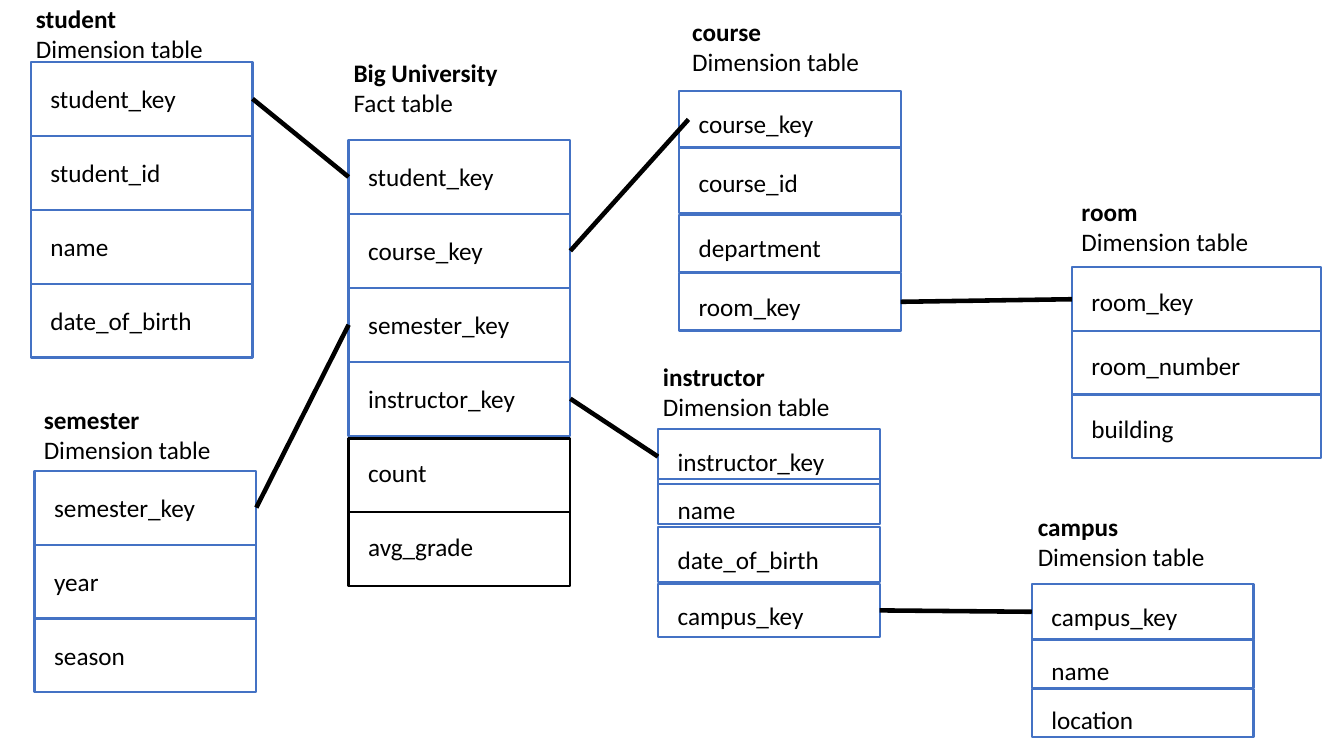
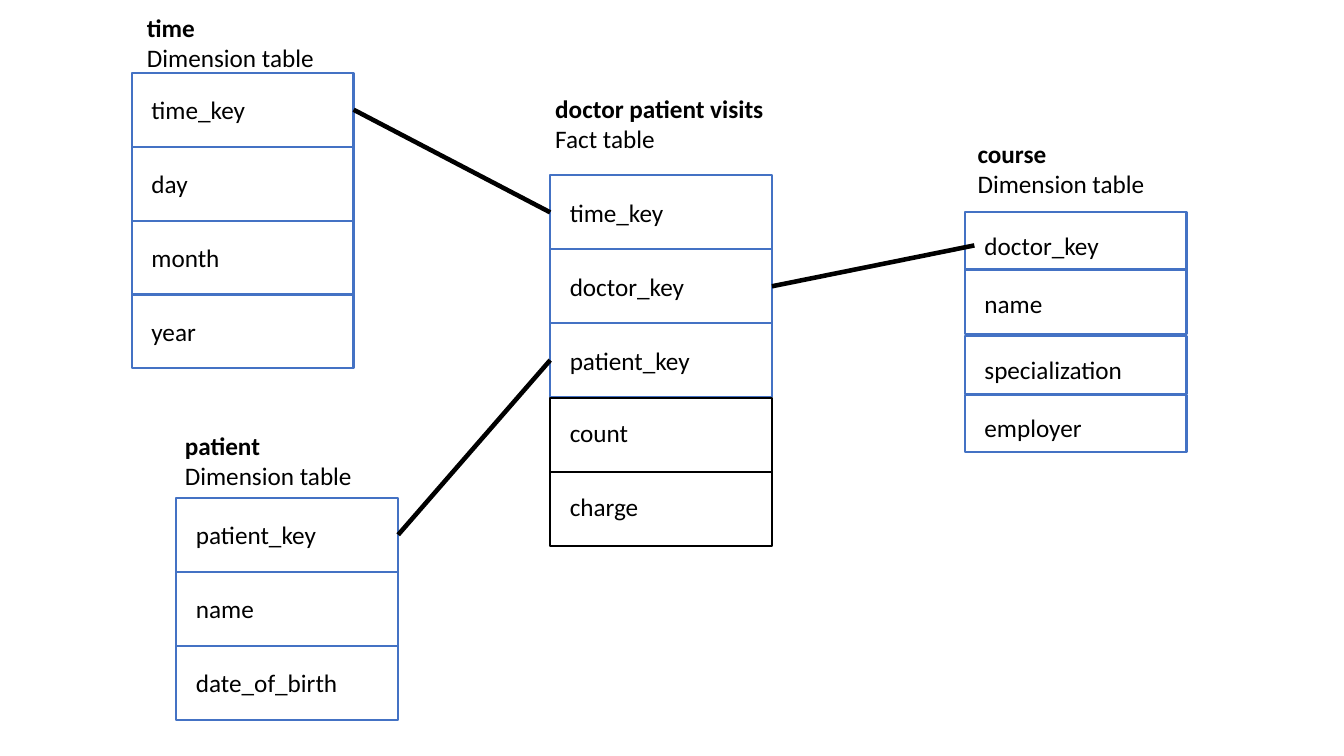
"""Build two star-schema diagrams: a university and a doctor's practice."""
from dataclasses import dataclass

from lxml import etree
from pptx import Presentation
from pptx.dml.color import RGBColor
from pptx.enum.shapes import MSO_CONNECTOR, MSO_SHAPE
from pptx.enum.text import MSO_ANCHOR, PP_ALIGN
from pptx.oxml.ns import qn
from pptx.util import Pt

RECTANGLE = MSO_SHAPE.RECTANGLE
STRAIGHT = MSO_CONNECTOR.STRAIGHT
TOP = MSO_ANCHOR.TOP
LEFT = PP_ALIGN.LEFT
LEFT_SIDE, RIGHT_SIDE = 1, 3


@dataclass(frozen=True)
class Theme:
    font: str = "Calibri"
    size: float = 18
    ink: RGBColor = RGBColor(0x00, 0x00, 0x00)
    key_line: RGBColor = RGBColor(0x44, 0x72, 0xC4)
    box_line: float = 1.5
    link_line: float = 3.25
    field_indent: float = 14
    field_drop: float = 0.225
    measure_drop: float = 0.185
    pad_x: float = 7.2
    pad_y: float = 3.6


THEME = Theme()
SLIDE_WIDTH, SLIDE_HEIGHT = 960, 540
TABLE_WIDTH, HEADING_WIDTH, HEADING_HEIGHT = 158.4, 151.2, 51
ROW_HEIGHT = 52.8
DIMENSION, FACT = "Dimension table", "Fact table"

COURSE_ROWS = [(0, 41), (40.5, 46.8), (88.6, 41), (130.3, 41)]
INSTRUCTOR_ROWS = [(0, 38.9), (35.3, 32.4), (69.9, 38.9), (110.2, 38.2)]
CAMPUS_ROWS = [(0, 39.6), (39.7, 34.8), (74.7, 34.8)]
ROOM_ROWS = [(0, 45.9), (45.4, 45.9), (90.8, 45.9)]

SCHEMAS = [
    {
        "tables": [
            {"name": "Big University", "kind": FACT, "heading": (245.5, 37.4), "at": (249, 100),
             "fields": ["student_key", "course_key", "semester_key", "instructor_key"],
             "measures": ["count", "avg_grade"], "measure_gap": 2},
            {"name": "semester", "heading": (24.2, 285), "at": (24.7, 336.2),
             "fields": ["semester_key", "year", "season"]},
            {"name": "student", "heading": (18.6, -1.5), "at": (22, 44.2),
             "fields": ["student_key", "student_id", "name", "date_of_birth"]},
            {"name": "instructor", "heading": (466.4, 254.4), "at": (470, 306.7),
             "fields": ["instructor_key", "name", "date_of_birth", "campus_key"],
             "rows": INSTRUCTOR_ROWS},
            {"name": "course", "heading": (487.4, 8), "at": (485, 64.8),
             "fields": ["course_key", "course_id", "department", "room_key"],
             "rows": COURSE_ROWS},
            {"name": "room", "heading": (765.4, 136.8), "at": (765.6, 190.8), "width": 177.8,
             "fields": ["room_key", "room_number", "building"], "rows": ROOM_ROWS},
            {"name": "campus", "heading": (734.2, 361.6), "at": (737, 417.2),
             "fields": ["campus_key", "name", "location"], "rows": CAMPUS_ROWS},
        ],
        "links": [
            ("course", "room", "room_key", None),
            ("student", "Big University", "student_key", None),
            ("semester", "Big University", "semester_key", None),
            ("Big University", "course", "course_key", (6.8, 0)),
            ("Big University", "instructor", "instructor_key", None),
            ("instructor", "campus", "campus_key", None),
        ],
    },
    {
        "tables": [
            {"name": "doctor patient visits", "kind": FACT, "heading": (389.5, 62.8),
             "heading_width": 192, "at": (393, 125.3),
             "fields": ["time_key", "doctor_key", "patient_key"],
             "measures": ["count", "charge"], "measure_gap": 0.7},
            {"name": "patient", "heading": (125, 304), "at": (126, 355.6),
             "fields": ["patient_key", "name", "date_of_birth"]},
            {"name": "time", "heading": (97.9, 5), "at": (94.2, 52),
             "fields": ["time_key", "day", "month", "year"]},
            {"name": "course", "heading": (691.2, 95), "at": (689.2, 151.6),
             "fields": ["doctor_key", "name", "specialization", "employer"],
             "rows": COURSE_ROWS},
        ],
        "links": [
            ("time", "doctor patient visits", "time_key", None),
            ("patient", "doctor patient visits", "patient_key", None),
            ("doctor patient visits", "course", "doctor_key", (6.8, 3.2)),
        ],
    },
]


def even_rows(count):
    return [(index * ROW_HEIGHT, ROW_HEIGHT) for index in range(count)]


def write(frame, text, indent=THEME.pad_x, drop=THEME.pad_y, bold_first=False):
    frame.word_wrap = True
    frame.vertical_anchor = TOP
    frame.margin_left, frame.margin_top = Pt(indent), Pt(drop)
    frame.margin_right = frame.margin_bottom = 0
    frame.text = text
    for index, paragraph in enumerate(frame.paragraphs):
        paragraph.alignment = LEFT
        font = paragraph.runs[0].font
        font.name, font.size = THEME.font, Pt(THEME.size)
        font.color.rgb = THEME.ink
        font.bold = bold_first and index == 0


def add_field(slide, field, left, top, width, height, line, drop):
    box = slide.shapes.add_shape(RECTANGLE, Pt(left), Pt(top), Pt(width), Pt(height))
    box.shadow.inherit = False
    box.fill.background()
    box.line.color.rgb = line
    box.line.width = Pt(THEME.box_line)
    write(box.text_frame, field, indent=THEME.field_indent, drop=THEME.pad_y + drop * height)
    return box


def add_entity(slide, entity):
    left, top = entity["at"]
    width = entity.get("width", TABLE_WIDTH)
    fields, measures = entity["fields"], entity.get("measures", [])
    rows = entity.get("rows", even_rows(len(fields)))
    boxes = {}
    for field, (offset, height) in zip(fields, rows):
        boxes[field] = add_field(slide, field, left, top + offset, width, height,
                                 THEME.key_line, THEME.field_drop)
    measures_top = top + len(fields) * ROW_HEIGHT + entity.get("measure_gap", 0)
    for measure, (offset, height) in zip(measures, even_rows(len(measures))):
        add_field(slide, measure, left, measures_top + offset, width, height,
                  THEME.ink, THEME.measure_drop)
    heading_left, heading_top = entity["heading"]
    heading = slide.shapes.add_textbox(
        Pt(heading_left), Pt(heading_top),
        Pt(entity.get("heading_width", HEADING_WIDTH)), Pt(HEADING_HEIGHT))
    kind = entity.get("kind", DIMENSION)
    write(heading.text_frame, f"{entity['name']}\n{kind}", bold_first=True)
    return boxes


def add_link(slide, source, target, inset):
    link = slide.shapes.add_connector(STRAIGHT, 0, 0, 0, 0)
    link.begin_connect(source, RIGHT_SIDE)
    if inset:
        link.end_x = target.left + Pt(inset[0])
        link.end_y = target.top + target.height // 2 + Pt(inset[1])
    else:
        link.end_connect(target, LEFT_SIDE)
    link.line.color.rgb = THEME.ink
    link.line.width = Pt(THEME.link_line)
    etree.SubElement(link._element.spPr, qn("a:effectLst"))


def main():
    deck = Presentation()
    deck.slide_width, deck.slide_height = Pt(SLIDE_WIDTH), Pt(SLIDE_HEIGHT)
    for schema in SCHEMAS:
        slide = deck.slides.add_slide(deck.slide_layouts[6])
        entities = {entity["name"]: add_entity(slide, entity) for entity in schema["tables"]}
        for source, target, key, inset in schema["links"]:
            add_link(slide, entities[source][key], entities[target][key], inset)
    deck.save("out.pptx")


if __name__ == "__main__":
    main()
